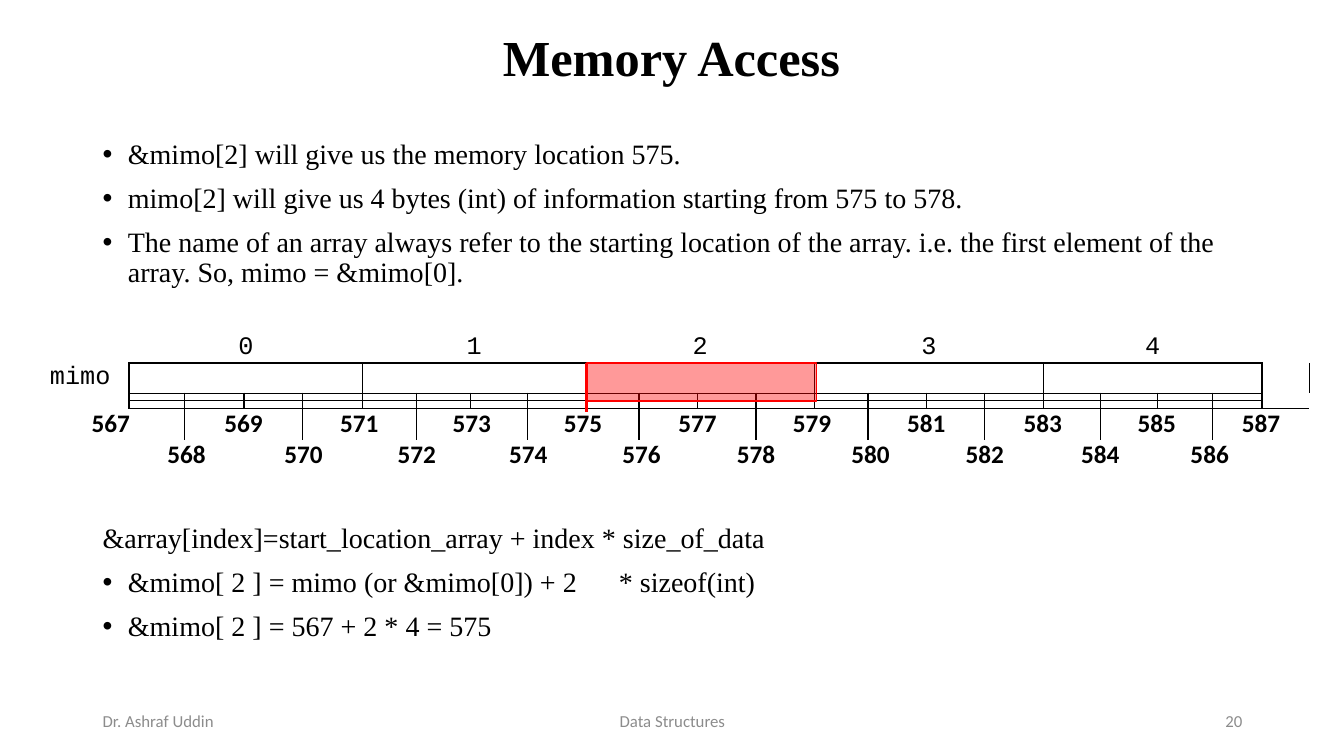
from lxml.etree import SubElement
from pptx import Presentation
from pptx.dml.color import RGBColor
from pptx.enum.shapes import MSO_CONNECTOR, MSO_SHAPE
from pptx.enum.text import MSO_ANCHOR, PP_ALIGN
from pptx.oxml.ns import qn
from pptx.util import Inches, Pt

COLORS = {"text": "000000", "highlight": "FF0000", "footer": "8C8C8C"}
SERIF, MONO, SANS = "Times New Roman", "Courier New", "Calibri"
NO_GRID_STYLE = "{2D5ABB26-0587-4C30-8999-92F81FD0307C}"


def format_runs(paragraph, font_name, size, color="text", bold=False):
    for run in paragraph.runs:
        run.font.name = font_name
        run.font.size = Pt(size)
        run.font.bold = bold
        run.font.color.rgb = RGBColor.from_string(COLORS[color])


def add_border(cell, side):
    line = SubElement(cell._tc.get_or_add_tcPr(), qn(f"a:{side}"), w=str(Pt(1)))
    fill = SubElement(line, qn("a:solidFill"))
    SubElement(fill, qn("a:srgbClr"), val=COLORS["text"])


presentation = Presentation()
presentation.slide_width = Inches(13.33)
presentation.slide_height = Inches(7.5)
slide = presentation.slides.add_slide(presentation.slide_layouts[5])

title = slide.shapes.title
title.left, title.top, title.width, title.height = [Inches(v) for v in (0.16, 0.21, 13, 0.78)]
title.text_frame.text = "Memory Access"
title.text_frame.vertical_anchor = MSO_ANCHOR.MIDDLE
paragraph = title.text_frame.paragraphs[0]
paragraph.alignment = PP_ALIGN.CENTER
paragraph.line_spacing = 0.9
format_runs(paragraph, SERIF, 36, bold=True)

body_lines = [
    ("&mimo[2] will give us the memory location 575.", True, 10),
    ("mimo[2] will give us 4 bytes (int) of information starting from 575 to 578.", True, 10),
    ("The name of an array always refer to the starting location of the array. "
     "i.e. the first element of the array. So, mimo = &mimo[0].", True, 10),
    ("&array[index]=start_location_array + index * size_of_data", False, 168),
    ("&mimo[ 2 ] = mimo (or &mimo[0]) + 2\t* sizeof(int)", True, 10),
    ("&mimo[ 2 ] = 567 + 2 * 4 = 575", True, 10),
]
body = slide.shapes.add_textbox(Inches(0.92), Inches(1.34), Inches(11.5), Inches(5.41))
body.text_frame.word_wrap = True
body.text_frame.text = "\n".join(text for text, _, _ in body_lines)
for paragraph, (text, bulleted, space) in zip(body.text_frame.paragraphs, body_lines):
    paragraph.line_spacing = 0.9
    paragraph.space_before = Pt(space)
    format_runs(paragraph, SERIF, 20)
    if bulleted:
        properties = paragraph._p.get_or_add_pPr()
        properties.set("marL", str(Inches(0.25)))
        properties.set("indent", str(-Inches(0.25)))
        SubElement(properties, qn("a:buFont"), typeface="Arial")
        SubElement(properties, qn("a:buChar"), char="•")
        if "\t" in text:
            tabs = SubElement(properties, qn("a:tabLst"))
            SubElement(tabs, qn("a:tab"), pos=str(Inches(5.12)), algn="l")

column_widths = [0.97, 0.55, 0.59, 0.58, 0.6, 0.53, 0.54, 0.56, 0.58, 0.53, 0.58,
                 0.58, 0.58, 0.53, 0.58, 0.58, 0.58, 0.57, 0.56, 0.55, 0.49, 0.47]
row_heights = [0.28, 0.29, 0.07, 0.08, 0.31, 0.31, 0.05]
frame = slide.shapes.add_table(len(row_heights), len(column_widths),
                               Inches(0.31), Inches(3.3), Inches(12.7), Inches(1.39))
table = frame.table
table.first_row = table.horz_banding = False
table._tbl.tblPr.find(qn("a:tableStyleId")).text = NO_GRID_STYLE
for column, width in zip(table.columns, column_widths):
    column.width = Inches(width)
for row, height in zip(table.rows, row_heights):
    row.height = Inches(height)

labels = {(1, 0): "mimo"}
for index in range(5):
    start = 1 + 4 * index
    labels[0, start] = str(index)
    for row in (0, 1, 6):
        table.cell(row, start).merge(table.cell(row, start + 3))
for address in range(567, 588):
    row = 4 if address % 2 else 5
    column = address - 567
    labels[row, column] = f"\u00a0{address}" if address == 567 else str(address)
    table.cell(row, column).merge(table.cell(row, column + 1))

tick_columns = {1: range(1, 22, 4), 2: range(1, 22), 3: range(1, 22), 4: range(2, 21, 2)}
for row in range(len(row_heights)):
    for column in range(len(column_widths)):
        cell = table.cell(row, column)
        cell.margin_left = cell.margin_right = cell.margin_top = cell.margin_bottom = 0
        cell.vertical_anchor = MSO_ANCHOR.MIDDLE
        paragraph = cell.text_frame.paragraphs[0]
        if (row, column) in labels:
            paragraph.text = labels[row, column]
            paragraph.alignment = PP_ALIGN.CENTER
            format_runs(paragraph, SANS if row > 3 else MONO, 18, bold=row > 3)
        else:
            SubElement(paragraph._p, qn("a:endParaRPr"), sz="100")
        if column in tick_columns.get(row, ()):
            add_border(cell, "lnL")
        if row in (1, 3) and 1 <= column <= 20:
            add_border(cell, "lnT")
        cell.fill.background()

start_marker = slide.shapes.add_connector(
    MSO_CONNECTOR.STRAIGHT, Inches(5.82), Inches(3.6), Inches(5.82), Inches(4.09))
start_marker.line.color.rgb = RGBColor.from_string(COLORS["highlight"])
start_marker.line.width = Pt(2.25)
SubElement(start_marker._element.spPr, qn("a:effectLst"))

element_highlight = slide.shapes.add_shape(
    MSO_SHAPE.RECTANGLE, Inches(5.82), Inches(3.6), Inches(2.28), Inches(0.38))
element_highlight.shadow.inherit = False
element_highlight.fill.solid()
element_highlight.fill.fore_color.rgb = RGBColor.from_string(COLORS["highlight"])
fill_color = element_highlight._element.spPr.find(qn("a:solidFill"))[0]
SubElement(fill_color, qn("a:alpha"), val="40000")
element_highlight.line.color.rgb = RGBColor.from_string(COLORS["highlight"])
element_highlight.line.width = Pt(1)

footers = [
    ("Dr. Ashraf Uddin", 0.92, 3, PP_ALIGN.LEFT),
    ("Data Structures", 4.42, 4.5, PP_ALIGN.CENTER),
    ("20", 9.42, 3, PP_ALIGN.RIGHT),
]
for text, left, width, alignment in footers:
    footer = slide.shapes.add_textbox(Inches(left), Inches(6.95), Inches(width), Inches(0.4))
    footer.text_frame.word_wrap = True
    footer.text_frame.vertical_anchor = MSO_ANCHOR.MIDDLE
    footer.text_frame.text = text
    paragraph = footer.text_frame.paragraphs[0]
    paragraph.alignment = alignment
    format_runs(paragraph, SANS, 12, "footer")

presentation.save("out.pptx")
